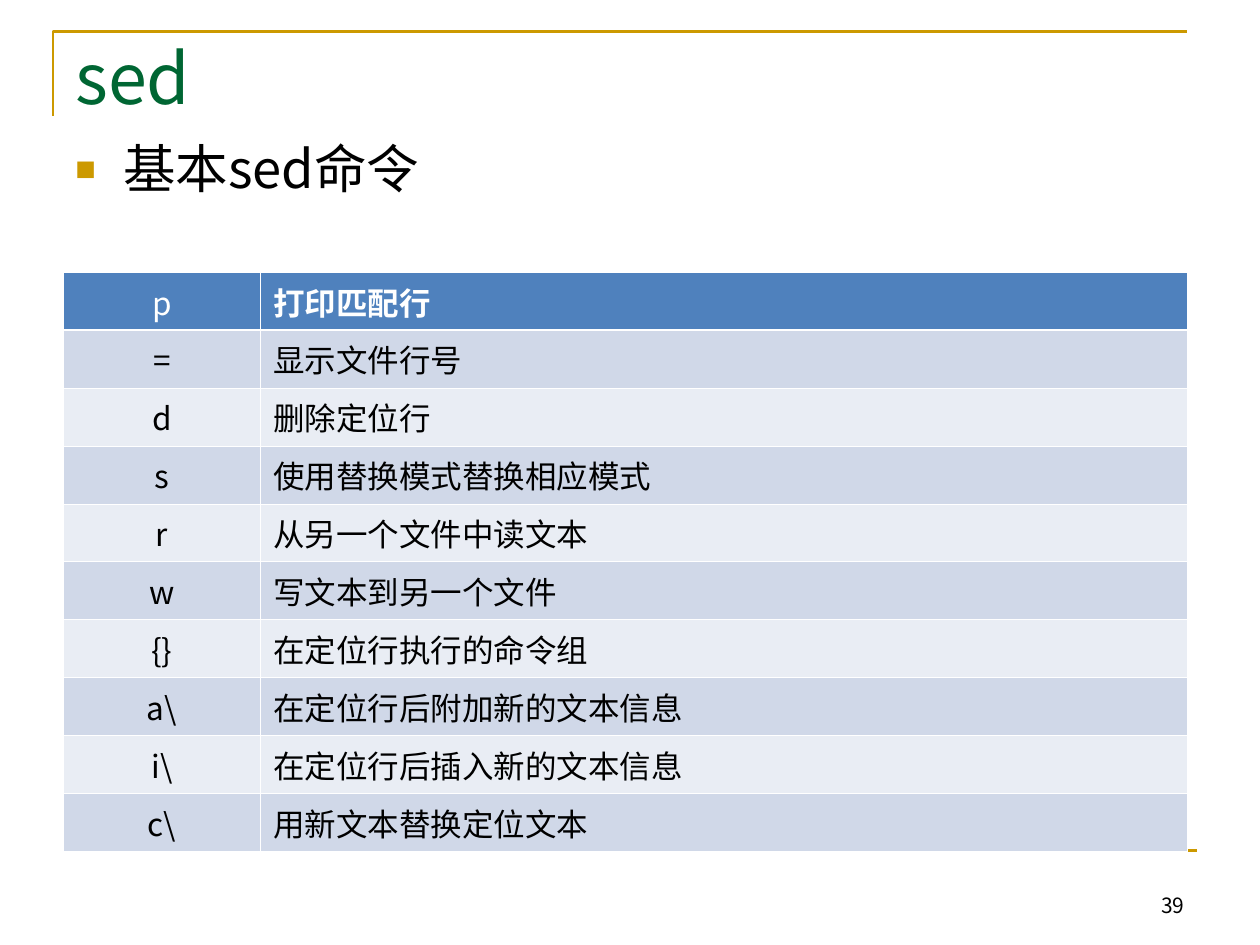
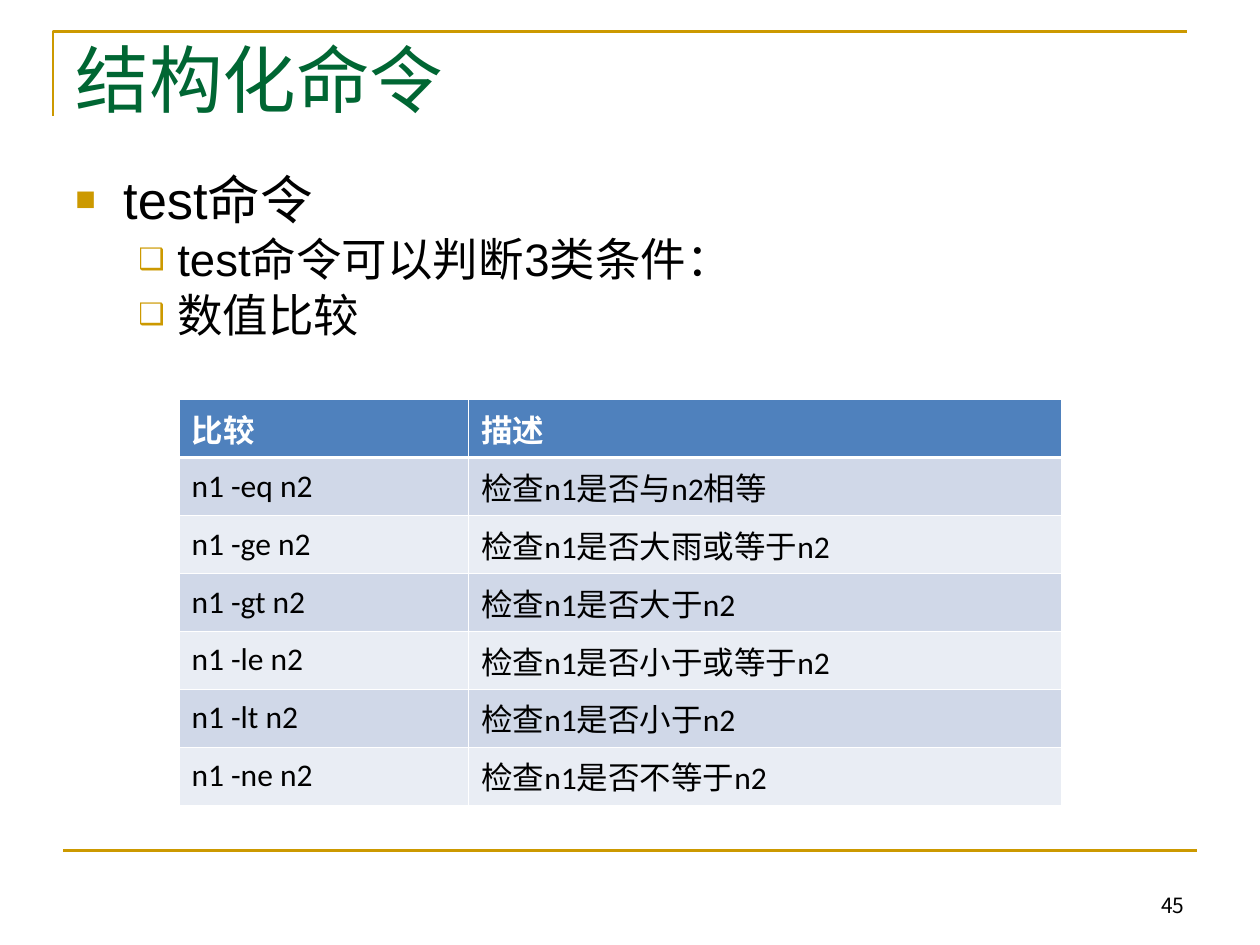
from dataclasses import dataclass

from lxml.etree import SubElement
from pptx import Presentation
from pptx.dml.color import RGBColor
from pptx.enum.shapes import MSO_CONNECTOR
from pptx.enum.text import MSO_ANCHOR, MSO_AUTO_SIZE, PP_ALIGN
from pptx.oxml.ns import qn
from pptx.util import Inches, Pt


@dataclass(frozen=True)
class Theme:
    """Colours, fonts and type sizes shared by the slides."""

    gold: str = "CC9900"
    green: str = "006633"
    black: str = "000000"
    white: str = "FFFFFF"
    header_fill: str = "4F81BD"
    band_fills: tuple = ("D0D8E8", "E9EDF4")
    cjk_font: str = "Noto Sans CJK SC"
    table_font: str = "Calibri"
    bullet_font: str = "Arial"
    table_size: float = 18
    number_size: float = 12
    outline_sizes: tuple = (30, 26)
    bullets: tuple = ("■", "❑")
    indents: tuple = ((0.38, -0.38), (0.81, -0.31))
    line_spacing: float = 0.9
    space_before: float = 3.8
    rule_width: float = 1.5


THEME = Theme()

SED_COMMANDS = [
    ("p", "打印匹配行"),
    ("=", "显示文件行号"),
    ("d", "删除定位行"),
    ("s", "使用替换模式替换相应模式"),
    ("r", "从另一个文件中读文本"),
    ("w", "写文本到另一个文件"),
    ("{}", "在定位行执行的命令组"),
    ("a\\", "在定位行后附加新的文本信息"),
    ("i\\", "在定位行后插入新的文本信息"),
    ("c\\", "用新文本替换定位文本"),
]

NUMERIC_TESTS = [
    ("比较", "描述"),
    ("n1 -eq n2", "检查n1是否与n2相等"),
    ("n1 -ge n2", "检查n1是否大雨或等于n2"),
    ("n1 -gt n2", "检查n1是否大于n2"),
    ("n1 -le n2", "检查n1是否小于或等于n2"),
    ("n1 -lt n2", "检查n1是否小于n2"),
    ("n1 -ne n2", "检查n1是否不等于n2"),
]


def style_paragraph(paragraph, font_name, size, color, bold=False):
    """Set the font of a whole paragraph, for Latin and Chinese text."""
    font = paragraph.font
    font.name = font_name
    font.size = Pt(size)
    font.bold = bold
    font.color.rgb = RGBColor.from_string(color)
    defaults = paragraph._p.get_or_add_pPr().find(qn("a:defRPr"))
    SubElement(defaults, qn("a:ea"), typeface=THEME.cjk_font)


def add_bullet(paragraph, level):
    """Give a paragraph the bullet and hanging indent of its level."""
    properties = paragraph._p.get_or_add_pPr()
    margin, indent = THEME.indents[level]
    properties.set("marL", str(Inches(margin)))
    properties.set("indent", str(Inches(indent)))
    color = SubElement(properties, qn("a:buClr"))
    SubElement(color, qn("a:srgbClr"), val=THEME.gold)
    SubElement(properties, qn("a:buSzPct"), val="65000")
    SubElement(properties, qn("a:buFont"), typeface=THEME.bullet_font)
    SubElement(properties, qn("a:buChar"), char=THEME.bullets[level])


def add_text_frame(slide, left, top, width, height, anchor=MSO_ANCHOR.TOP):
    """Add a wrapping text box and return its text frame."""
    frame = slide.shapes.add_textbox(
        Inches(left), Inches(top), Inches(width), Inches(height)
    ).text_frame
    frame.word_wrap = True
    frame.vertical_anchor = anchor
    return frame


def add_rules(slide):
    """Draw the gold corner around the title and the rule above the footer."""
    builder = slide.shapes.build_freeform(Inches(0.42), Inches(0.92))
    builder.add_line_segments(
        [(Inches(0.42), Inches(0.25)), (Inches(9.42), Inches(0.25))], close=False
    )
    corner = builder.convert_to_shape()
    corner.shadow.inherit = False
    corner.fill.background()
    footer_rule = slide.shapes.add_connector(
        MSO_CONNECTOR.STRAIGHT, Inches(0.5), Inches(6.75), Inches(9.5), Inches(6.75)
    )
    SubElement(footer_rule._element.spPr, qn("a:effectLst"))
    for rule in (corner, footer_rule):
        rule.line.color.rgb = RGBColor.from_string(THEME.gold)
        rule.line.width = Pt(THEME.rule_width)


def add_page_number(slide, number):
    """Write the page number at the lower right."""
    frame = add_text_frame(slide, 7.17, 6.83, 2.33, 0.5, MSO_ANCHOR.BOTTOM)
    paragraph = frame.paragraphs[0]
    paragraph.text = str(number)
    paragraph.alignment = PP_ALIGN.RIGHT
    style_paragraph(paragraph, THEME.cjk_font, THEME.number_size, THEME.black)


def set_title(slide, text, font_name, size):
    """Place and format the title placeholder."""
    title = slide.shapes.title
    title.left, title.top = Inches(0.5), Inches(0.3)
    title.width, title.height = Inches(9), Inches(1.25)
    frame = title.text_frame
    frame.auto_size = MSO_AUTO_SIZE.NONE
    frame.vertical_anchor = MSO_ANCHOR.TOP
    paragraph = frame.paragraphs[0]
    paragraph.text = text
    paragraph.alignment = PP_ALIGN.LEFT
    paragraph.line_spacing = THEME.line_spacing
    style_paragraph(paragraph, font_name, size, THEME.green)


def add_outline(slide, top, height, font_name, entries):
    """Add bulleted text from (level, text) entries."""
    frame = add_text_frame(slide, 0.5, top, 9, height)
    for index, (level, text) in enumerate(entries):
        paragraph = frame.add_paragraph() if index else frame.paragraphs[0]
        paragraph.text = text
        paragraph.level = level
        paragraph.line_spacing = THEME.line_spacing
        if index:
            paragraph.space_before = Pt(THEME.space_before)
        add_bullet(paragraph, level)
        style_paragraph(paragraph, font_name, THEME.outline_sizes[level], THEME.black)


def set_borders(cell, row):
    """Draw white cell borders, heavier between header and body."""
    properties = cell._tc.get_or_add_tcPr()
    heavy_side = {0: "lnB", 1: "lnT"}.get(row)
    for side in ("lnL", "lnR", "lnT", "lnB"):
        width = Pt(1.47 if side == heavy_side else 0.45)
        border = SubElement(properties, qn(f"a:{side}"), w=str(width))
        fill = SubElement(border, qn("a:solidFill"))
        SubElement(fill, qn("a:srgbClr"), val=THEME.white)


def add_command_table(slide, left, top, column_widths, rows, symbol_column=False):
    """Add a banded table; a symbol column is centred and never bold."""
    row_height = 0.46
    table = slide.shapes.add_table(
        len(rows), len(column_widths), Inches(left), Inches(top),
        Inches(sum(column_widths)), Inches(row_height * len(rows)),
    ).table
    table.first_row = table.horz_banding = False
    for column, width in zip(table.columns, column_widths):
        column.width = Inches(width)
    for row, texts in enumerate(rows):
        table.rows[row].height = Inches(row_height)
        is_header = row == 0
        fill = THEME.header_fill if is_header else THEME.band_fills[(row - 1) % 2]
        for column, text in enumerate(texts):
            cell = table.cell(row, column)
            is_symbol = symbol_column and column == 0
            set_borders(cell, row)
            cell.fill.solid()
            cell.fill.fore_color.rgb = RGBColor.from_string(fill)
            cell.vertical_anchor = MSO_ANCHOR.MIDDLE
            paragraph = cell.text_frame.paragraphs[0]
            paragraph.text = text
            paragraph.alignment = PP_ALIGN.CENTER if is_symbol else PP_ALIGN.LEFT
            style_paragraph(
                paragraph,
                THEME.cjk_font if is_symbol else THEME.table_font,
                THEME.table_size,
                THEME.white if is_header else THEME.black,
                bold=is_header and not is_symbol,
            )


def add_framed_slide(presentation, number, title, title_font, title_size):
    """Add a title-only slide with the shared rules, title and page number."""
    slide = presentation.slides.add_slide(presentation.slide_layouts[5])
    add_rules(slide)
    add_page_number(slide, number)
    set_title(slide, title, title_font, title_size)
    return slide


def main():
    """Build both slides and save the presentation."""
    presentation = Presentation()
    presentation.slide_width, presentation.slide_height = Inches(10), Inches(7.5)

    sed = add_framed_slide(presentation, 39, "sed", THEME.cjk_font, 40)
    add_outline(sed, 1.09, 5.42, THEME.cjk_font, [(0, "基本sed命令")])
    add_command_table(sed, 0.5, 2.16, (1.57, 7.35), SED_COMMANDS, symbol_column=True)

    structured = add_framed_slide(
        presentation, 45, "结构化命令", "Times New Roman", 42
    )
    add_outline(
        structured, 1.33, 5.33, "Arial",
        [(0, "test命令"), (1, "test命令可以判断3类条件："), (1, "数值比较")],
    )
    add_command_table(structured, 1.42, 3.17, (2.3, 4.7), NUMERIC_TESTS)

    presentation.save("out.pptx")


if __name__ == "__main__":
    main()
